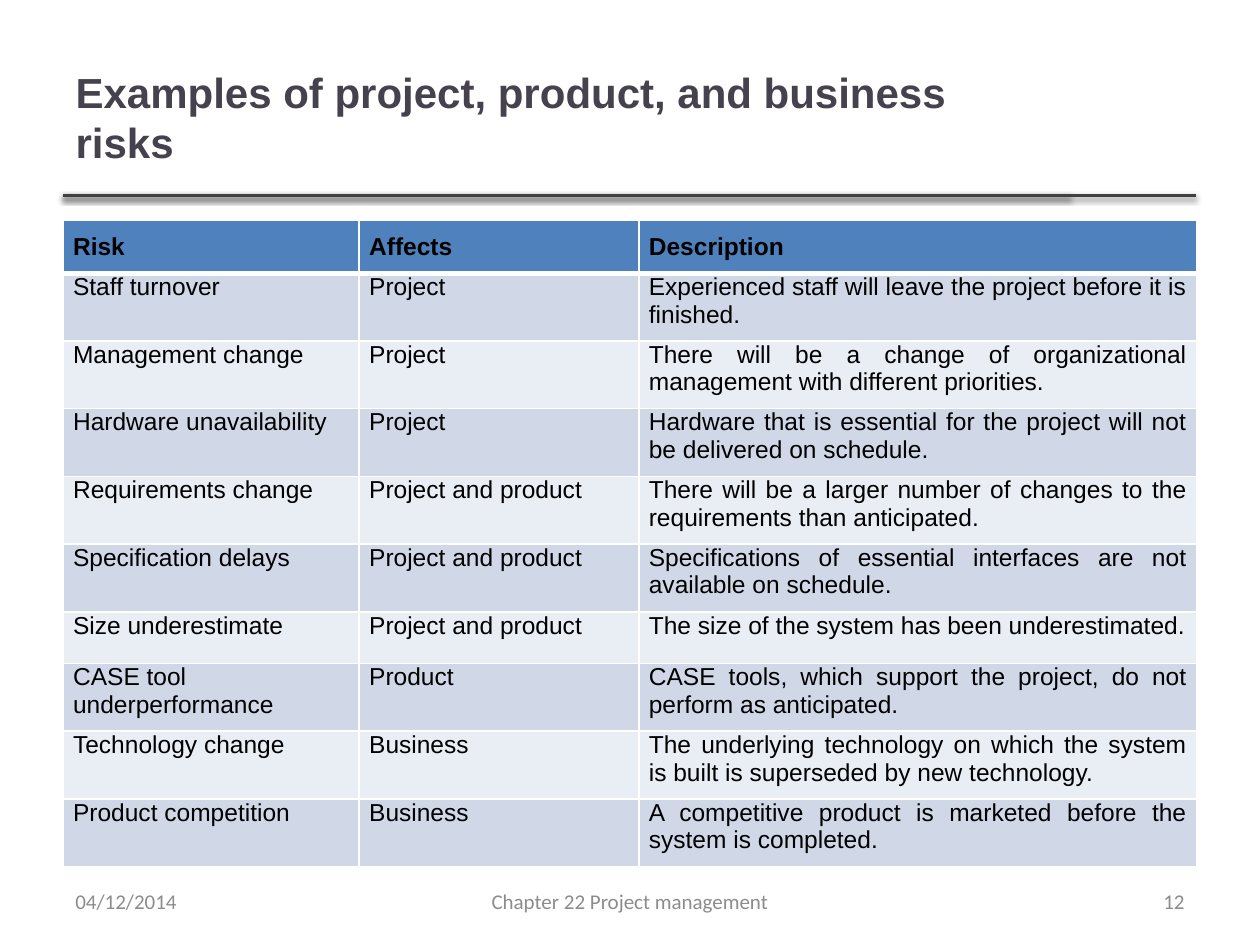
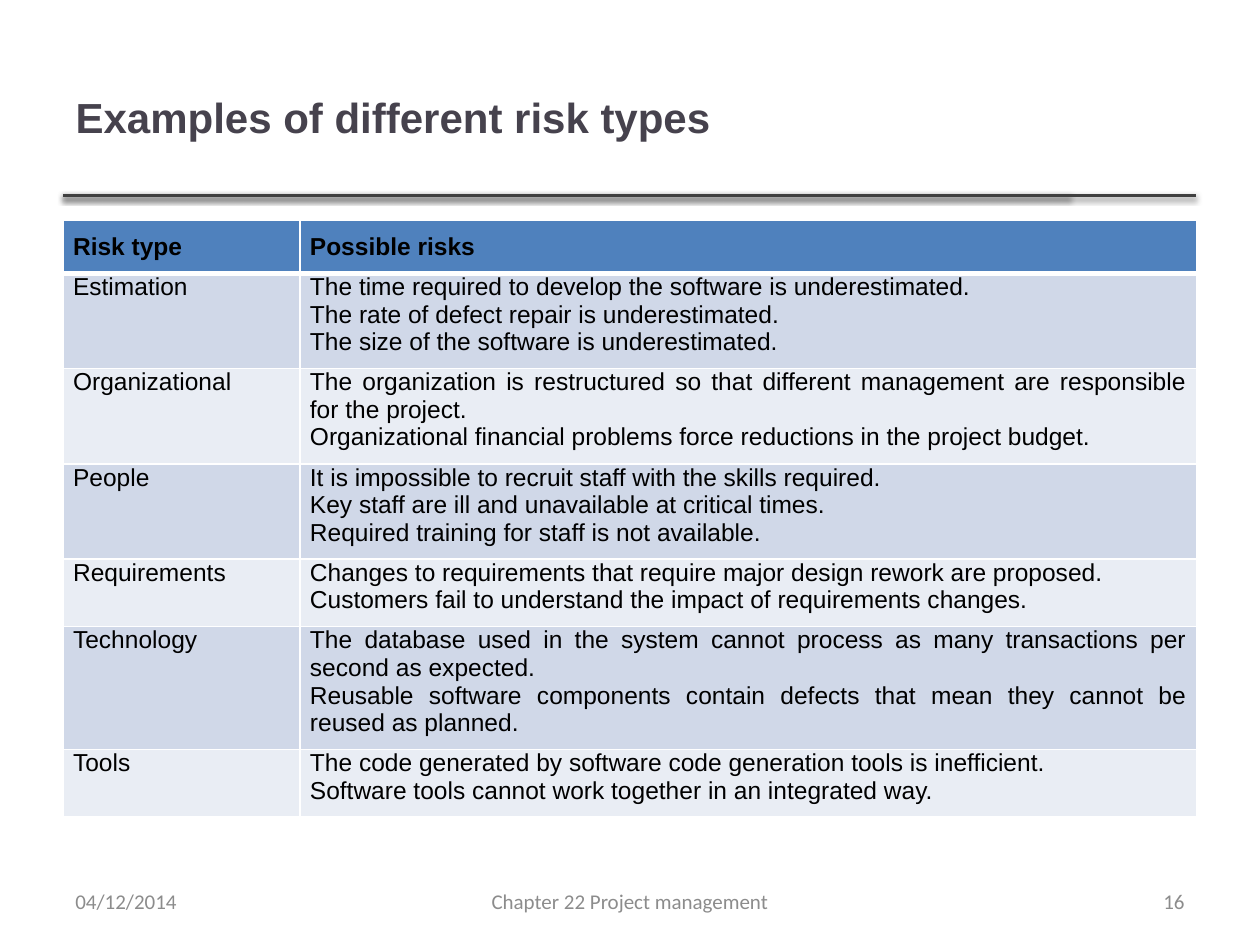
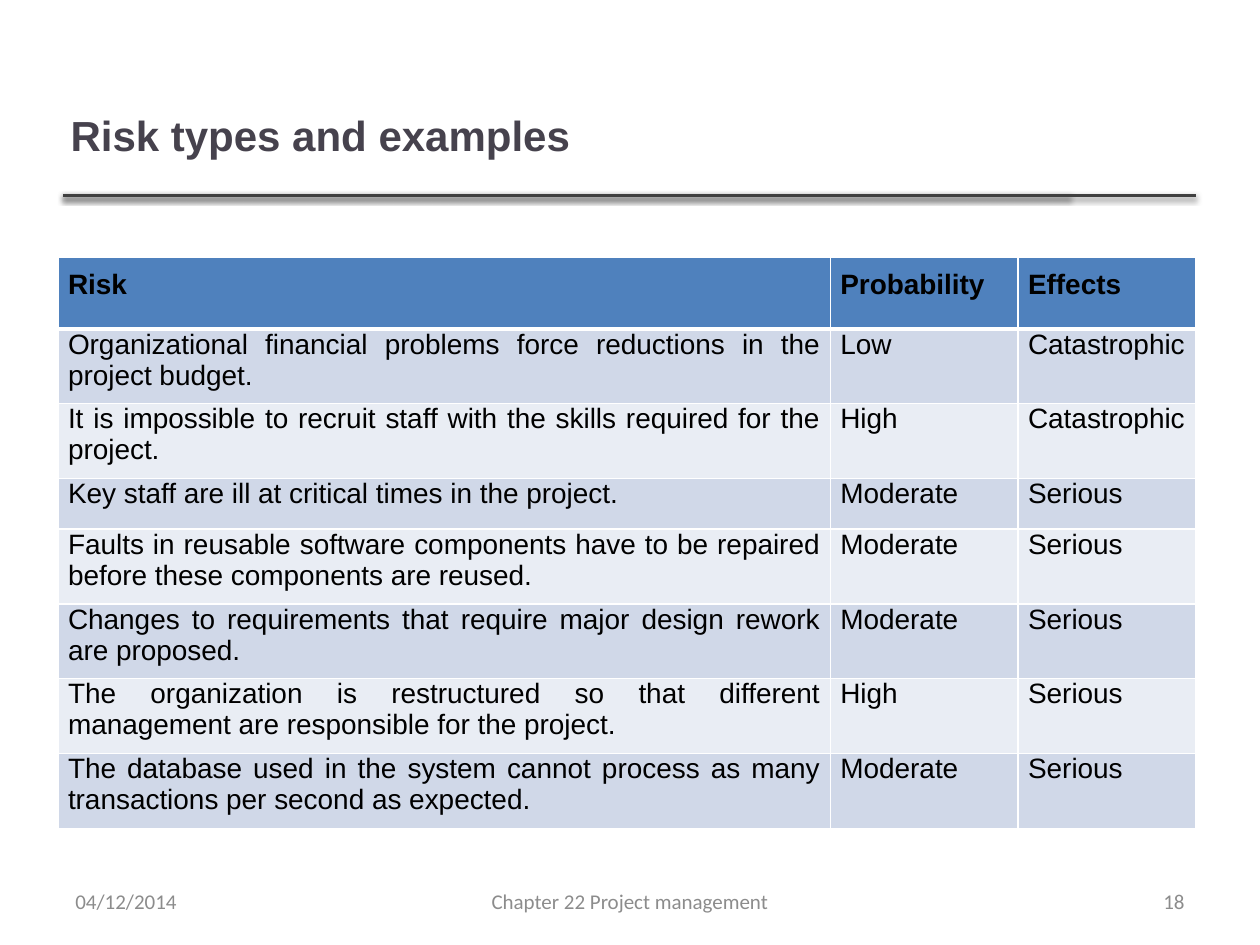
import dataclasses

import lxml.etree
import pptx
import pptx.dml.color
import pptx.enum.shapes
import pptx.enum.text
import pptx.oxml
import pptx.oxml.ns
import pptx.util

Inches = pptx.util.Inches
Pt = pptx.util.Pt
Align = pptx.enum.text.PP_ALIGN
Anchor = pptx.enum.text.MSO_ANCHOR


@dataclasses.dataclass(frozen=True)
class Theme:
    heading_font: str = "Arial"
    footer_font: str = "Calibri"
    title_color: str = "46424D"
    text_color: str = "000000"
    footer_color: str = "8C8C8C"
    rule_color: str = "404040"
    border_color: str = "FFFFFF"
    header_fill: str = "4F81BD"
    band_fills: tuple = ("D0D8E8", "E9EDF4")
    title_size: int = 24
    footer_size: int = 12
    rule_width: int = 2
    border_width: int = 1
    header_border_width: int = 3


THEME = Theme()
TITLE_BOX = (0.5, 0.3, 7.98, 1.25)
RULE_BOX = (0.5, 1.55, 8.99)
FOOTER_BOX = (0.5, 6.95, 9, 0.4)
DATE = "04/12/2014"
CHAPTER = "Chapter 22 Project management"

PROJECT_RISKS = [
    ("Risk", "Affects", "Description"),
    ("Staff turnover", "Project",
     "Experienced staff will leave the project before it is finished."),
    ("Management change", "Project",
     "There will be a change of organizational management with different priorities."),
    ("Hardware unavailability", "Project",
     "Hardware that is essential for the project will not be delivered on schedule."),
    ("Requirements change", "Project and product",
     "There will be a larger number of changes to the requirements than anticipated."),
    ("Specification delays", "Project and product",
     "Specifications of essential interfaces are not available on schedule."),
    ("Size underestimate", "Project and product",
     "The size of the system has been underestimated."),
    ("CASE tool underperformance", "Product",
     "CASE tools, which support the project, do not perform as anticipated."),
    ("Technology change", "Business",
     "The underlying technology on which the system is built is superseded by new technology."),
    ("Product competition", "Business",
     "A competitive product is marketed before the system is completed."),
]

RISK_TYPES = [
    ("Risk type", "Possible risks"),
    ("Estimation",
     "The time required to develop the software is underestimated.\n"
     "The rate of defect repair is underestimated.\n"
     "The size of the software is underestimated."),
    ("Organizational",
     "The organization is restructured so that different management are responsible "
     "for the project.\n"
     "Organizational financial problems force reductions in the project budget."),
    ("People",
     "It is impossible to recruit staff with the skills required.\n"
     "Key staff are ill and unavailable at critical times.\n"
     "Required training for staff is not available."),
    ("Requirements",
     "Changes to requirements that require major design rework are proposed.\n"
     "Customers fail to understand the impact of requirements changes."),
    ("Technology",
     "The database used in the system cannot process as many transactions per second "
     "as expected.\n"
     "Reusable software components contain defects that mean they cannot be reused "
     "as planned."),
    ("Tools",
     "The code generated by software code generation tools is inefficient.\n"
     "Software tools cannot work together in an integrated way."),
]

RISK_RATINGS = [
    ("Risk", "Probability", "Effects"),
    ("Organizational financial problems force reductions in the project budget.",
     "Low", "Catastrophic"),
    ("It is impossible to recruit staff with the skills required for the project.",
     "High", "Catastrophic"),
    ("Key staff are ill at critical times in the project.", "Moderate", "Serious"),
    ("Faults in reusable software components have to be repaired before these "
     "components are reused.", "Moderate", "Serious"),
    ("Changes to requirements that require major design rework are proposed.",
     "Moderate", "Serious"),
    ("The organization is restructured so that different management are responsible "
     "for the project.", "High", "Serious"),
    ("The database used in the system cannot process as many transactions per second "
     "as expected.", "Moderate", "Serious"),
]


def rgb(color):
    return pptx.dml.color.RGBColor.from_string(color)


def format_text(text_frame, font_name, size, color, alignment, bold=False):
    for paragraph in text_frame.paragraphs:
        paragraph.alignment = alignment
        for run in paragraph.runs:
            run.font.name = font_name
            run.font.size = Pt(size)
            run.font.bold = bold
            run.font.color.rgb = rgb(color)


def add_title(slide, box, text):
    title = slide.shapes.title
    title.left, title.top, title.width, title.height = map(Inches, box)
    text_frame = title.text_frame
    text_frame.text = text
    text_frame.auto_size = pptx.enum.text.MSO_AUTO_SIZE.NONE
    text_frame.vertical_anchor = Anchor.MIDDLE
    format_text(text_frame, THEME.heading_font, THEME.title_size,
                THEME.title_color, Align.LEFT, True)


def add_title_rule(slide, box):
    left, top, width = box
    for length in (width - 1, width):
        rule = slide.shapes.add_connector(
            pptx.enum.shapes.MSO_CONNECTOR.STRAIGHT,
            Inches(left), Inches(top), Inches(left + length), Inches(top))
        rule.line.color.rgb = rgb(THEME.rule_color)
        rule.line.width = Pt(THEME.rule_width)
        rule._element.spPr.append(pptx.oxml.parse_xml(
            f'<a:effectLst {pptx.oxml.ns.nsdecls("a")}>'
            f'<a:outerShdw blurRad="{Pt(3.1)}" dist="{Pt(1.6)}" dir="5400000" rotWithShape="0">'
            '<a:srgbClr val="000000"><a:alpha val="38000"/></a:srgbClr>'
            '</a:outerShdw></a:effectLst>'))


def add_footer(slide, box, number):
    left, top, width, height = box
    parts = (
        (DATE, 0, 2.33, Align.LEFT),
        (CHAPTER, (width - 3.17) / 2, 3.17, Align.CENTER),
        (number, width - 2.33, 2.33, Align.RIGHT),
    )
    for text, offset, part_width, alignment in parts:
        text_box = slide.shapes.add_textbox(
            Inches(left + offset), Inches(top), Inches(part_width), Inches(height))
        text_frame = text_box.text_frame
        text_frame.word_wrap = True
        text_frame.vertical_anchor = Anchor.MIDDLE
        text_frame.text = text
        format_text(text_frame, THEME.footer_font, THEME.footer_size,
                    THEME.footer_color, alignment)


def set_cell_borders(cell, top_width, bottom_width):
    side_width = THEME.border_width
    widths = {"lnL": side_width, "lnR": side_width, "lnT": top_width, "lnB": bottom_width}
    properties = cell._tc.get_or_add_tcPr()
    for position, (tag, width) in enumerate(widths.items()):
        border = lxml.etree.Element(pptx.oxml.ns.qn(f"a:{tag}"), w=str(Pt(width)))
        fill = lxml.etree.SubElement(border, pptx.oxml.ns.qn("a:solidFill"))
        lxml.etree.SubElement(fill, pptx.oxml.ns.qn("a:srgbClr"), val=THEME.border_color)
        properties.insert(position, border)


def format_cell(cell, text, row_index, size, alignment):
    is_header = row_index == 0
    cell.text_frame.text = text
    cell.margin_left = cell.margin_right = Inches(0.08)
    cell.margin_top = Inches(0.1 if is_header else 0)
    cell.margin_bottom = Inches(0.1)
    format_text(cell.text_frame, THEME.heading_font, size, THEME.text_color,
                alignment, is_header)
    cell.fill.solid()
    cell.fill.fore_color.rgb = rgb(
        THEME.header_fill if is_header else THEME.band_fills[(row_index - 1) % 2])
    set_cell_borders(
        cell,
        THEME.header_border_width if row_index == 1 else THEME.border_width,
        THEME.header_border_width if is_header else THEME.border_width)


def add_risk_table(slide, origin, rows, column_widths, row_heights, size, left_columns=()):
    left, top = origin
    table = slide.shapes.add_table(
        len(rows), len(column_widths), Inches(left), Inches(top),
        Inches(sum(column_widths)), Inches(sum(row_heights))).table
    table.horz_banding = False
    for column, width in zip(table.columns, column_widths):
        column.width = Inches(width)
    for row_index, (row, height) in enumerate(zip(rows, row_heights)):
        table.rows[row_index].height = Inches(height)
        for column_index, text in enumerate(row):
            is_left = row_index > 0 and column_index in left_columns
            format_cell(table.cell(row_index, column_index), text, row_index, size,
                        Align.LEFT if is_left else Align.JUSTIFY)


def add_risk_slide(presentation, title, number, title_box=TITLE_BOX, **table_options):
    slide = presentation.slides.add_slide(presentation.slide_layouts[5])
    add_title_rule(slide, RULE_BOX)
    add_title(slide, title_box, title)
    add_risk_table(slide, **table_options)
    add_footer(slide, FOOTER_BOX, number)


def main():
    presentation = pptx.Presentation()
    presentation.slide_width = Inches(10)
    presentation.slide_height = Inches(7.5)
    add_risk_slide(
        presentation, "Examples of project, product, and business risks", "12",
        origin=(0.5, 1.75), rows=PROJECT_RISKS, column_widths=(2.35, 2.22, 4.43),
        row_heights=[0.41] * len(PROJECT_RISKS), size=14, left_columns=(0, 1))
    add_risk_slide(
        presentation, "Examples of different risk types", "16",
        origin=(0.5, 1.75), rows=RISK_TYPES, column_widths=(1.88, 7.12),
        row_heights=[0.41] * len(RISK_TYPES), size=14)
    add_risk_slide(
        presentation, "Risk types and examples", "18", title_box=(0.46, 0.49, 7.63, 1.15),
        origin=(0.46, 2.04), rows=RISK_RATINGS, column_widths=(6.13, 1.49, 1.41),
        row_heights=[0.57, 0.47, 0.47, 0.4] + [0.47] * 4, size=16)
    presentation.save("out.pptx")


if __name__ == "__main__":
    main()
